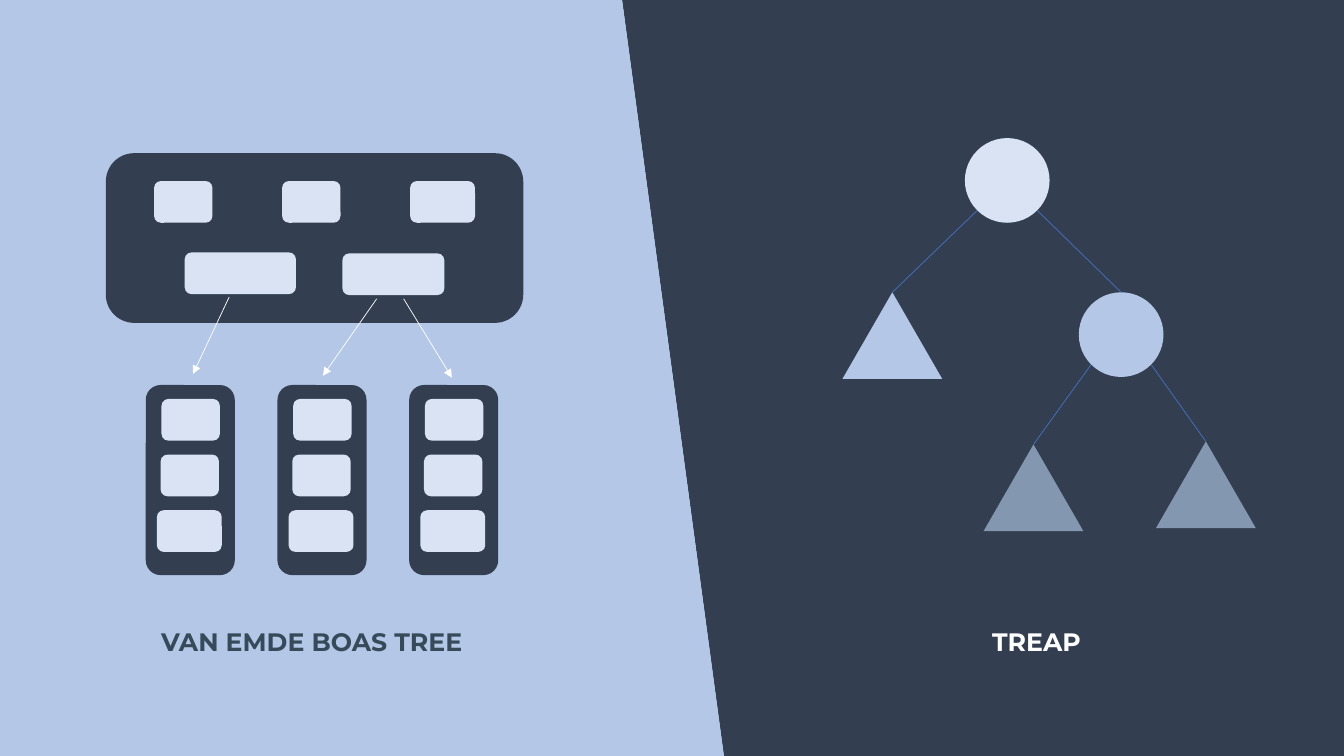
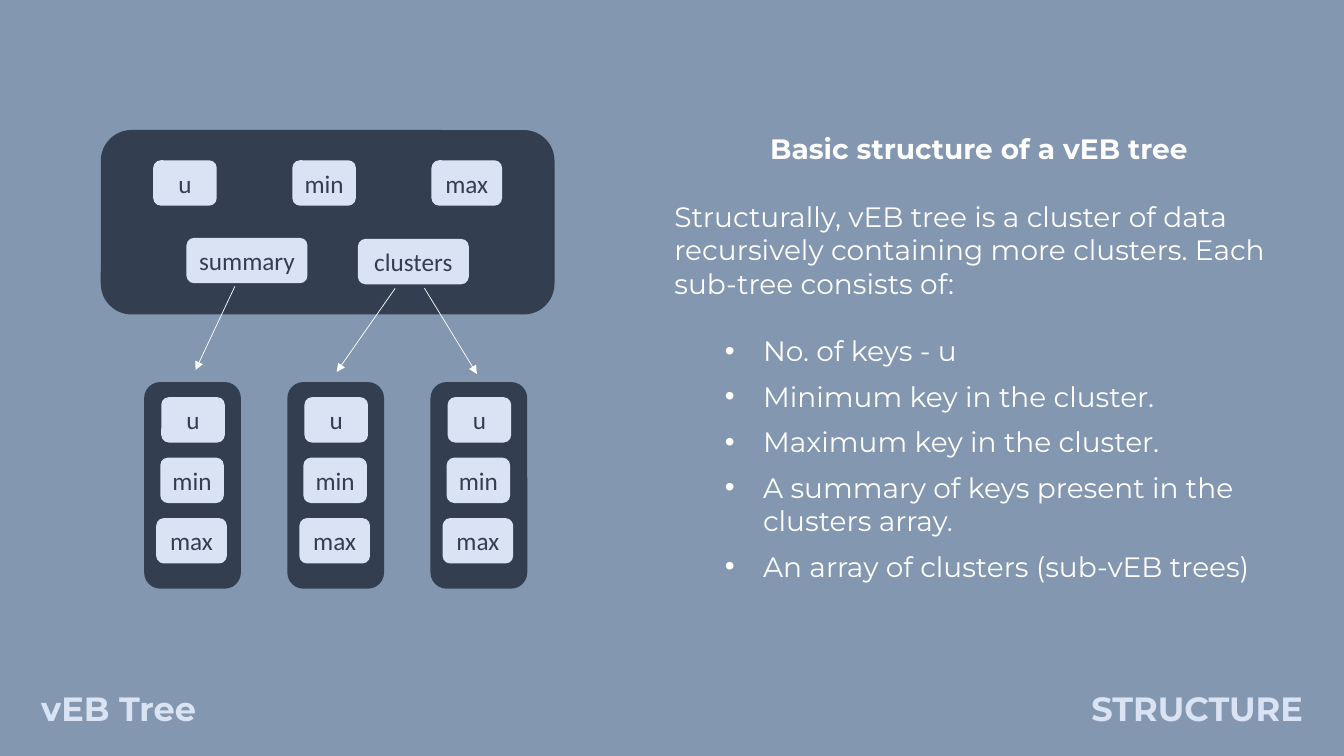
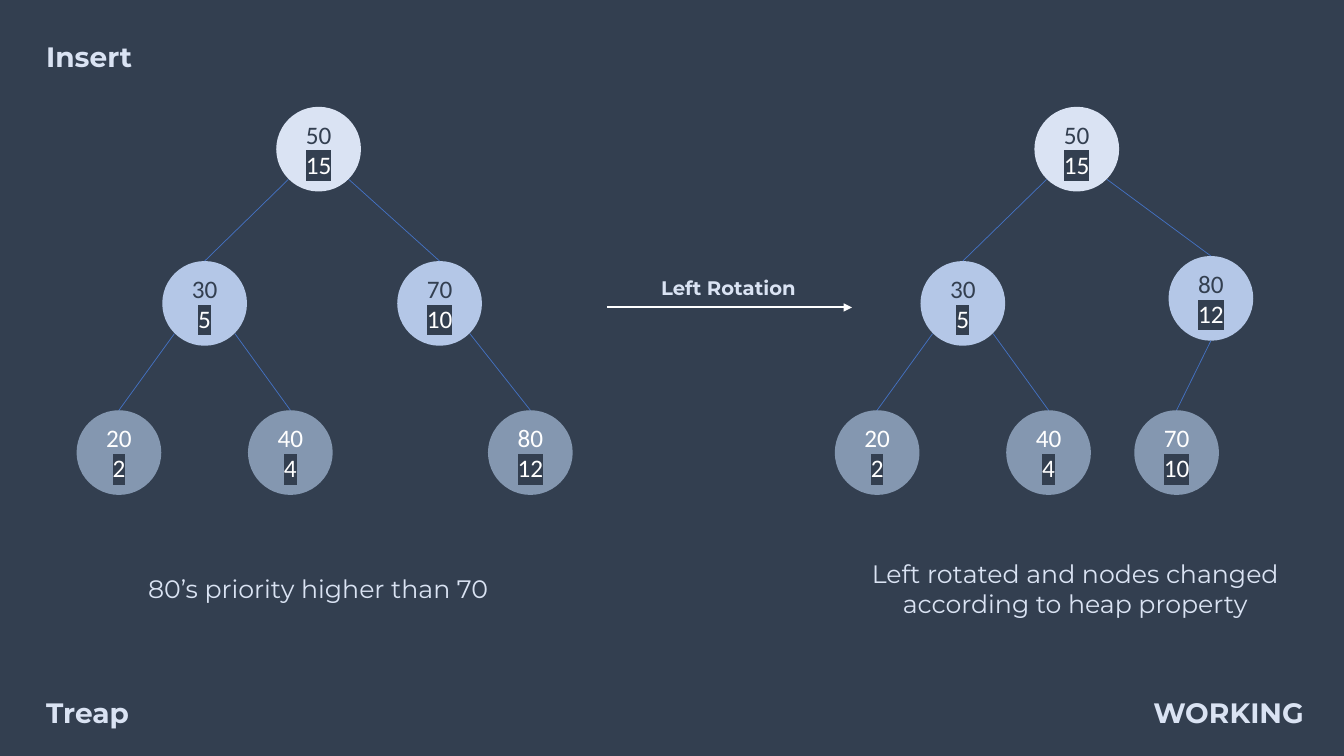
from lxml import etree
from pptx import Presentation, util as u
from pptx.dml.color import RGBColor
from pptx.enum import shapes, text
from pptx.oxml.ns import qn

COLORS = {
    "dark": "333F50", "periwinkle": "B4C7E7", "pale": "DAE3F3", "slate": "8497B0",
    "white": "FFFFFF", "edge": "4472C4", "caption": "364A5A", "sky": "CDE6FF",
}
COLORS = {name: RGBColor.from_string(value) for name, value in COLORS.items()}
HEADING, LABEL = "Montserrat", "Calibri"
LEFT, CENTER, RIGHT = text.PP_ALIGN.LEFT, text.PP_ALIGN.CENTER, text.PP_ALIGN.RIGHT
ROUNDED = shapes.MSO_SHAPE.ROUNDED_RECTANGLE
CIRCLE = shapes.MSO_SHAPE.OVAL
TRIANGLE = shapes.MSO_SHAPE.ISOSCELES_TRIANGLE


def add_block(slide, preset, left, top, width, height, color):
    """Add a plain filled shape, ready for centred text; return its paragraph too."""
    shape = slide.shapes.add_shape(preset, *map(u.Inches, (left, top, width, height)))
    shape.shadow.inherit = False
    shape.fill.solid()
    shape.fill.fore_color.rgb = COLORS[color]
    shape.line.fill.background()
    frame = shape.text_frame
    frame.margin_left = frame.margin_right = frame.margin_top = frame.margin_bottom = 0
    frame.vertical_anchor = text.MSO_ANCHOR.MIDDLE
    paragraph = frame.paragraphs[0]
    paragraph.alignment = CENTER
    paragraph.font.name, paragraph.font.size = LABEL, u.Pt(18)
    return paragraph


def add_line(slide, start, end, color, width=0.5, arrow=False):
    line = slide.shapes.add_connector(
        shapes.MSO_CONNECTOR.STRAIGHT, *map(u.Inches, (*start, *end)))
    line.line.color.rgb = COLORS[color]
    line.line.width = u.Pt(width)
    if arrow:
        etree.SubElement(line.line._get_or_add_ln(), qn("a:tailEnd"), type="triangle")
    etree.SubElement(line._element.spPr, qn("a:effectLst"))


presentation = Presentation()
presentation.slide_width, presentation.slide_height = u.Inches(13.33), u.Inches(7.5)
slides = []
for background in ("sky", "slate", "dark"):
    slide = presentation.slides.add_slide(presentation.slide_layouts[6])
    slide.background.fill.solid()
    slide.background.fill.fore_color.rgb = COLORS[background]
    slides.append(slide)
overview, structure, working = slides

# Two panels split by a slanted edge
for side, color in ((13.33, "dark"), (0, "periwinkle")):
    corners = [(u.Inches(x), u.Inches(y))
               for x, y in ((side, 0), (6.17, 0), (7.18, 7.5), (side, 7.5))]
    builder = overview.shapes.build_freeform(*corners[0], scale=1.0)
    builder.add_line_segments(corners[1:], close=True)
    panel = builder.convert_to_shape()
    panel.shadow.inherit = False
    panel.fill.solid()
    panel.fill.fore_color.rgb = COLORS[color]
    panel.line.fill.background()

# vEB tree diagram, measured from the corner of its root: left, top, width, label
fields = [
    (0.52, 0.3, 0.63, "u"), (1.9, 0.3, 0.63, "min"), (3.28, 0.3, 0.7, "max"),
    (0.85, 1.07, 1.2, "summary"), (2.55, 1.08, 1.1, "clusters"),
]
frames = [(0, 0, 4.5, 1.83)]
for column in range(3):
    left, top = 0.43 + 1.42 * column, 2.5
    frames.append((left, top, 0.96, 2.05))
    fields += [(left + 0.17, top + 0.15, 0.63, "u"),
               (left + 0.16, top + 0.75, 0.63, "min"),
               (left + 0.12, top + 1.35, 0.7, "max")]
pointers = [((1.33, 1.55), (0.94, 2.38)), ((2.92, 1.57), (2.34, 2.4)),
            ((3.21, 1.57), (3.73, 2.42))]

for slide, x, y, scale, labelled in ((overview, 1.05, 1.52, 0.92, False),
                                     (structure, 1, 1.29, 1, True)):
    for left, top, width, height in frames:
        add_block(slide, ROUNDED, x + left * scale, y + top * scale,
                  width * scale, height * scale, "dark")
    for left, top, width, label in fields:
        paragraph = add_block(slide, ROUNDED, x + left * scale, y + top * scale,
                              width * scale, 0.45 * scale, "pale")
        if labelled:
            paragraph.text = label
            paragraph.font.color.rgb = COLORS["dark"]
    for pointer in pointers:
        start, end = [(x + across * scale, y + down * scale) for across, down in pointer]
        add_line(slide, start, end, "white", arrow=True)

# Treaps: name -> preset, centre x, top, level, parent, side of parent, priority
sketch = {
    "root": (CIRCLE, 9.99, 1.37, 0, None, 0, None),
    "left": (TRIANGLE, 8.85, 2.9, 1, "root", -1, None),
    "right": (CIRCLE, 11.12, 2.9, 1, "root", 1, None),
    "inner": (TRIANGLE, 10.25, 4.41, 2, "right", -1, None),
    "outer": (TRIANGLE, 11.96, 4.38, 2, "right", 1, None),
}
common = {
    "50": (CIRCLE, 3.16, 1.06, 0, None, 0, "15"),
    "30": (CIRCLE, 2.03, 2.59, 1, "50", -1, "5"),
    "20": (CIRCLE, 1.18, 4.07, 2, "30", -1, "2"),
    "40": (CIRCLE, 2.88, 4.07, 2, "30", 1, "4"),
}
before = common | {
    "70": (CIRCLE, 4.36, 2.59, 1, "50", 1, "10"),
    "80": (CIRCLE, 5.26, 4.07, 2, "70", 1, "12"),
}
after = common | {
    "80": (CIRCLE, 4.49, 2.54, 1, "50", 1, "12"),
    "70": (CIRCLE, 4.15, 4.07, 2, "80", 0, "10"),
}
DIAMETER = 0.84
for slide, offset, nodes in ((overview, 0, sketch), (working, 0, before), (working, 7.52, after)):
    for key, (preset, center, top, level, parent, side, priority) in nodes.items():
        center += offset
        width, height = (DIAMETER, DIAMETER) if preset == CIRCLE else (0.99, 0.86)
        paragraph = add_block(slide, preset, center - width / 2, top, width, height,
                              ("pale", "periwinkle", "slate")[level])
        if parent:
            drop = 0.72 if side else DIAMETER
            start = nodes[parent][1] + offset + 0.3 * side, nodes[parent][2] + drop
            add_line(slide, start, (center, top), "edge")
        if priority:
            key_run = paragraph.add_run()
            key_run.text = key
            key_run.font.color.rgb = COLORS["white" if level == 2 else "dark"]
            paragraph.add_line_break()
            priority_run = paragraph.add_run()
            priority_run.text = priority
            priority_run.font.color.rgb = COLORS["white"]
            highlight = etree.SubElement(priority_run._r.get_or_add_rPr(), qn("a:highlight"))
            etree.SubElement(highlight, qn("a:srgbClr"), val=str(COLORS["dark"]))

add_line(working, (6.02, 3.05), (8.45, 3.05), "white", 1.5, arrow=True)

# Text boxes; each paragraph: wording, alignment, bold, space before, bulleted
description = [
    ("Basic structure of a vEB tree", CENTER, True, 0, False),
    ("Structurally, vEB tree is a cluster of data recursively containing more clusters. "
     "Each sub-tree consists of:", LEFT, False, 24, False),
    ("No. of keys - u", LEFT, False, 24, True),
    ("Minimum key in the cluster.", LEFT, False, 8.5, True),
    ("Maximum key in the cluster.", LEFT, False, 8.5, True),
    ("A summary of keys present in the clusters array.", LEFT, False, 8.5, True),
    ("An array of clusters (sub-vEB trees)", LEFT, False, 8.5, True),
]
text_boxes = [
    (overview, (1.5, 6.16, 3.32, 0.4), 18, "caption",
     [("VAN EMDE BOAS TREE", LEFT, True, 0, False)]),
    (overview, (8.62, 6.16, 3.32, 0.4), 18, "white", [("TREAP", CENTER, True, 0, False)]),
    (structure, (0.31, 6.78, 3.11, 0.5), 24, "pale", [("vEB Tree", LEFT, True, 0, False)]),
    (structure, (6.92, 6.78, 6.1, 0.5), 24, "pale", [("STRUCTURE", RIGHT, True, 0, False)]),
    (structure, (6.59, 1.26, 6.24, 4.61), 20, "white", description),
    (working, (0.36, 0.34, 2.96, 0.44), 20, "pale", [("Insert", LEFT, True, 0, False)]),
    (working, (0.36, 6.85, 1.49, 0.44), 20, "pale", [("Treap", LEFT, True, 0, False)]),
    (working, (9.15, 6.85, 3.88, 0.44), 20, "pale", [("WORKING", RIGHT, True, 0, False)]),
    (working, (5.67, 2.69, 3.11, 0.34), 14, "pale",
     [("Left Rotation", CENTER, True, 0, False)]),
    (working, (1.29, 5.64, 3.73, 0.4), 18, "pale",
     [("80’s priority higher than 70", CENTER, False, 0, False)]),
    (working, (8.31, 5.49, 4.71, 0.71), 18, "pale",
     [("Left rotated and nodes changed according to heap property", CENTER, False, 0, False)]),
]
for slide, position, size, color, paragraphs in text_boxes:
    frame = slide.shapes.add_textbox(*map(u.Inches, position)).text_frame
    frame.word_wrap = True
    for index, (wording, alignment, bold, space, bulleted) in enumerate(paragraphs):
        paragraph = frame.add_paragraph() if index else frame.paragraphs[0]
        paragraph.text = wording
        paragraph.alignment = alignment
        if space:
            paragraph.space_before = u.Pt(space)
        if bulleted:
            paragraph.level = 1
            properties = paragraph._p.get_or_add_pPr()
            properties.set("marL", str(u.Inches(0.88)))
            properties.set("indent", str(u.Inches(-0.38)))
            etree.SubElement(properties, qn("a:buFont"), typeface="Arial")
            etree.SubElement(properties, qn("a:buChar"), char="•")
        paragraph.font.name, paragraph.font.size = HEADING, u.Pt(size)
        paragraph.font.bold = bold
        paragraph.font.color.rgb = COLORS[color]

presentation.save("out.pptx")
